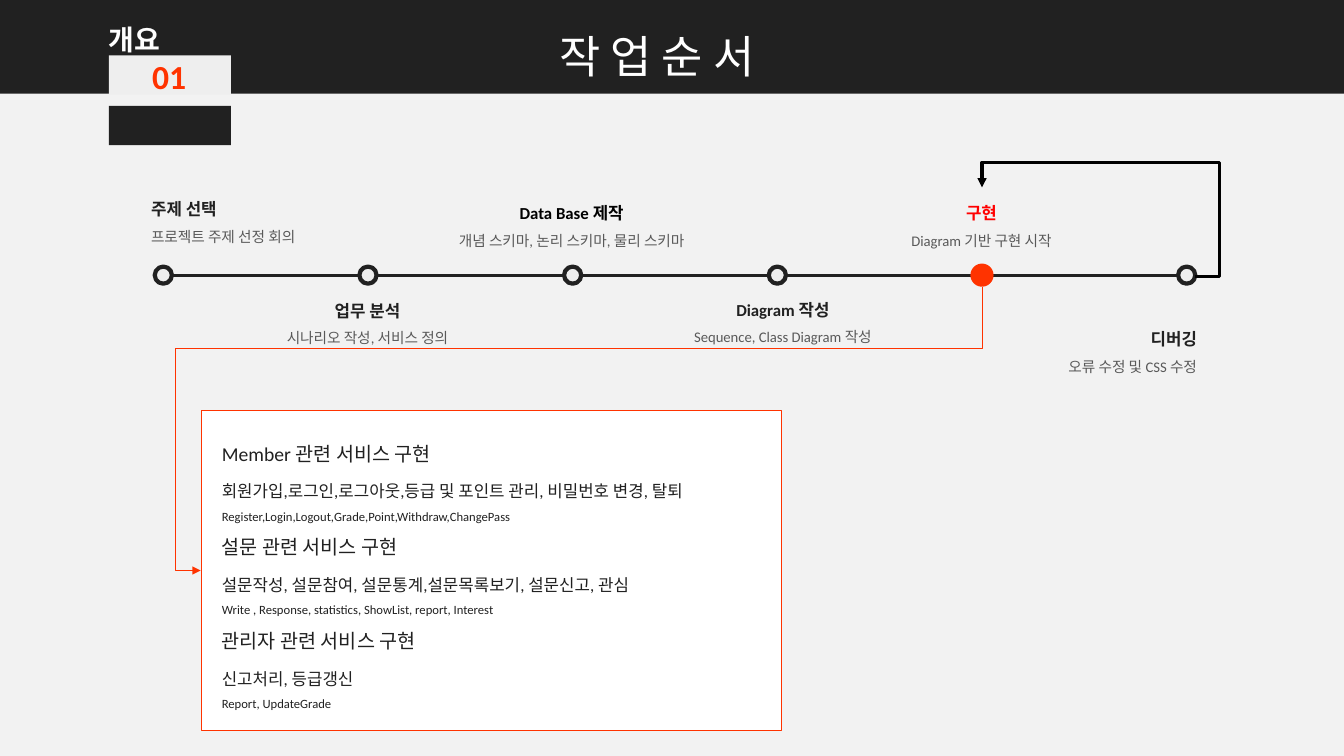
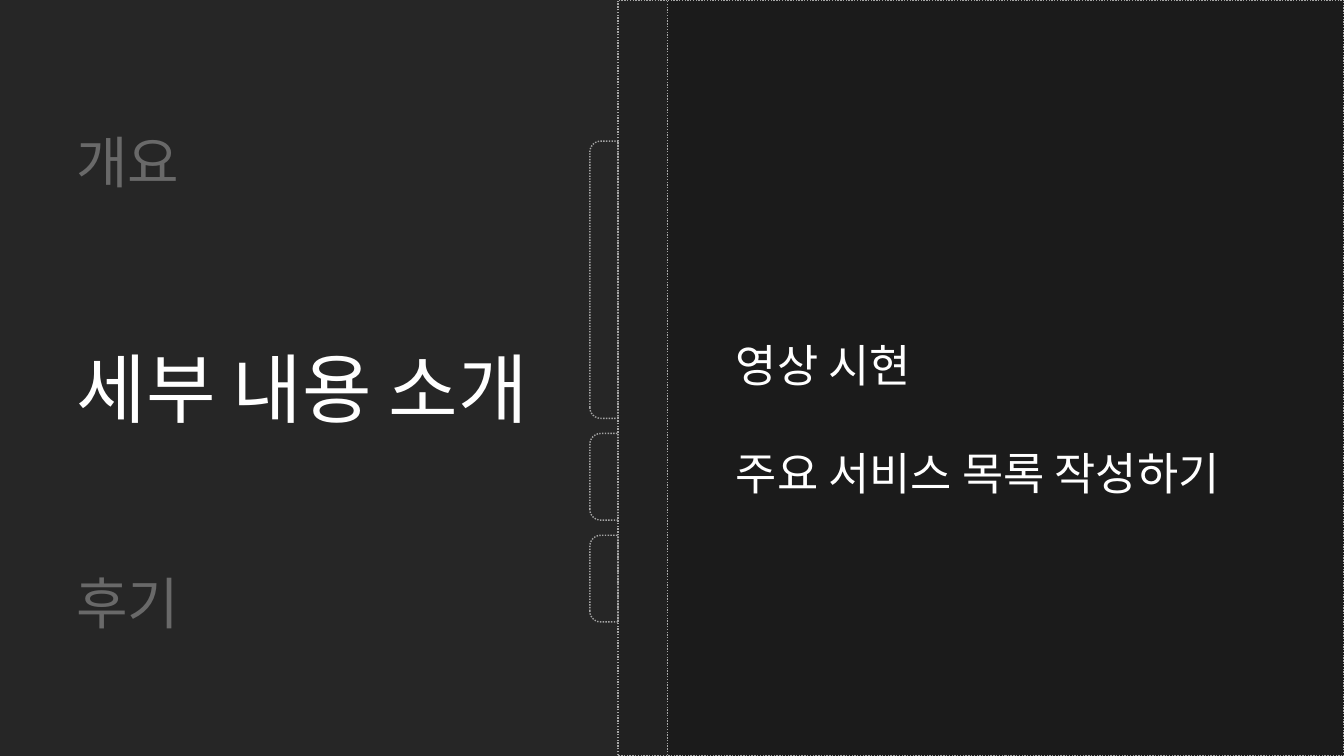
import pptx
import pptx.util
import pptx.dml.color
import pptx.enum.dml
import pptx.enum.shapes
import pptx.enum.text
import pptx.oxml
import pptx.oxml.ns
import lxml.etree

Inches = pptx.util.Inches
Pt = pptx.util.Pt
RGBColor = pptx.dml.color.RGBColor
Shape = pptx.enum.shapes.MSO_SHAPE
Connector = pptx.enum.shapes.MSO_CONNECTOR
Align = pptx.enum.text.PP_ALIGN
Anchor = pptx.enum.text.MSO_ANCHOR
qn = pptx.oxml.ns.qn

FONT = "Calibri"
INK = RGBColor(0x21, 0x21, 0x21)
CHARCOAL = RGBColor(0x26, 0x26, 0x26)
COAL = RGBColor(0x1B, 0x1B, 0x1B)
BLACK = RGBColor(0, 0, 0)
WHITE = RGBColor(0xFF, 0xFF, 0xFF)
PAPER = RGBColor(0xF2, 0xF2, 0xF2)
PALE = RGBColor(0xEE, 0xEE, 0xEE)
GREY = RGBColor(0x59, 0x59, 0x59)
DOTTED = RGBColor(0xA6, 0xA6, 0xA6)
ORANGE = RGBColor(0xFF, 0x33, 0x00)
RED = RGBColor(0xFF, 0, 0)

PAGE_WIDTH, PAGE_HEIGHT = 13.33, 7.5
AXIS_Y = 2.73
FIRST_STEP_X, STEP_GAP = 1.62, 2.03
STEP_COUNT, ACTIVE_STEP = 6, 4
RING_SIZE, DOT_SIZE = 0.17, 0.23

MILESTONES = [
    (1.4, 1.82, 2.15, Align.LEFT, "주제 선택", INK, "프로젝트 주제 선정 회의"),
    (2.57, 2.83, 2.15, Align.CENTER, "업무 분석", INK, "시나리오 작성, 서비스 정의"),
    (4.15, 1.86, 3.04, Align.CENTER, "Data Base 제작", BLACK,
     "개념 스키마, 논리 스키마, 물리 스키마"),
    (6.69, 2.82, 2.15, Align.CENTER, "Diagram 작성", INK, "Sequence, Class Diagram 작성"),
    (8.66, 1.86, 2.15, Align.CENTER, "구현", RED, "Diagram 기반 구현 시작"),
    (9.82, 3.11, 2.15, Align.RIGHT, "디버깅", INK, "오류 수정 및 CSS 수정"),
]
SERVICES = [
    ("Member 관련 서비스 구현",
     "회원가입,로그인,로그아웃,등급 및 포인트 관리, 비밀번호 변경, 탈퇴",
     "Register,Login,Logout,Grade,Point,Withdraw,ChangePass"),
    ("설문 관련 서비스 구현",
     "설문작성, 설문참여, 설문통계,설문목록보기, 설문신고, 관심",
     "Write , Response, statistics, ShowList, report, Interest"),
    ("관리자 관련 서비스 구현", "신고처리, 등급갱신", "Report, UpdateGrade"),
]


def add_page(deck, color):
    page = deck.slides.add_slide(deck.slide_layouts[6])
    page.background.fill.solid()
    page.background.fill.fore_color.rgb = color
    return page


def add_block(page, kind, left, top, width, height, fill=None, line=None, weight=1, dotted=False):
    block = page.shapes.add_shape(kind, Inches(left), Inches(top), Inches(width), Inches(height))
    block.shadow.inherit = False
    if fill is None:
        block.fill.background()
    else:
        block.fill.solid()
        block.fill.fore_color.rgb = fill
    if line is None:
        block.line.fill.background()
    else:
        block.line.color.rgb = line
        block.line.width = Pt(weight)
        if dotted:
            block.line.dash_style = pptx.enum.dml.MSO_LINE.ROUND_DOT
    return block


def write_lines(frame, lines, align=Align.LEFT, spacing=1.0):
    frame.word_wrap = True
    for index, (text, size, color, bold, before) in enumerate(lines):
        para = frame.paragraphs[0] if index == 0 else frame.add_paragraph()
        para.text = text
        para.alignment = align
        para.line_spacing = spacing
        para.space_before = Pt(before)
        para.font.name = FONT
        para.font.size = Pt(size)
        para.font.bold = bold
        para.font.color.rgb = color


def add_text(page, left, top, width, height, lines, align=Align.LEFT, spacing=1.0):
    box = page.shapes.add_textbox(Inches(left), Inches(top), Inches(width), Inches(height))
    write_lines(box.text_frame, lines, align, spacing)


def add_line(page, kind, begin, end, color, weight):
    line = page.shapes.add_connector(kind, *(Inches(value) for value in (*begin, *end)))
    line.line.color.rgb = color
    line.line.width = Pt(weight)
    lxml.etree.SubElement(line._element.spPr, qn("a:effectLst"))
    return line


def add_bent_arrow(page, begin, end, bends, color, weight, rotation=0):
    arrow = add_line(page, Connector.ELBOW, begin, end, color, weight)
    properties = arrow._element.spPr
    if rotation:
        properties.find(qn("a:xfrm")).set("rot", str(rotation * 60000))
    geometry = properties.find(qn("a:prstGeom"))
    geometry.set("prst", "bentConnector4")
    guides = geometry.get_or_add_avLst()
    for number, bend in enumerate(bends, 1):
        guide = lxml.etree.SubElement(guides, qn("a:gd"))
        guide.set("name", f"adj{number}")
        guide.set("fmla", f"val {round(bend * 100000)}")
    tip = lxml.etree.SubElement(arrow.line._get_or_add_ln(), qn("a:tailEnd"))
    tip.set("type", "triangle")


def add_header(page, section, number, title):
    add_block(page, Shape.RECTANGLE, 0, 0, PAGE_WIDTH, 0.93, INK)
    add_text(page, 0.98, 0.01, 1.2, 0.55, [(section, 20, WHITE, True, 0)], spacing=1.5)
    for top, fill in ((0.55, PALE), (1.05, INK)):
        add_block(page, Shape.RECTANGLE, 1.08, top, 1.21, 0.39, fill)
    add_text(page, 1.41, 0.51, 0.8, 0.5, [(number, 24, ORANGE, True, 0)])
    add_text(page, 5.45, 0.24, 2.5, 0.64, [(title, 32, WHITE, False, 0)])


def add_timeline(page):
    last_x = FIRST_STEP_X + (STEP_COUNT - 1) * STEP_GAP
    radius = RING_SIZE / 2
    add_line(page, Connector.STRAIGHT, (FIRST_STEP_X + radius, AXIS_Y),
             (last_x - radius, AXIS_Y), INK, 2.25)
    for step in range(STEP_COUNT):
        active = step == ACTIVE_STEP
        size = DOT_SIZE if active else RING_SIZE
        add_block(page, Shape.OVAL, FIRST_STEP_X + step * STEP_GAP - size / 2,
                  AXIS_Y - size / 2, size, size, ORANGE if active else PALE,
                  None if active else INK, 3)
    for left, top, width, align, name, color, detail in MILESTONES:
        add_text(page, left, top, width, 0.64,
                 [(name, 12, color, True, 0), (detail, 10.5, GREY, False, 0)], align, 1.5)


def add_service_panel(page):
    panel = add_block(page, Shape.RECTANGLE, 2, 4.07, 5.75, 3.18, WHITE, ORANGE)
    frame = panel.text_frame
    frame.margin_left = Inches(0.2)
    frame.vertical_anchor = Anchor.MIDDLE
    lines = []
    for heading, features, functions in SERVICES:
        lines += [(heading, 14, INK, False, 0), (features, 12, INK, False, 4),
                  (functions, 9, INK, False, 0)]
    write_lines(frame, lines, spacing=1.5)


def build_process_page(deck):
    page = add_page(deck, PAPER)
    add_header(page, "개요", "01", "작 업 순 서")
    add_timeline(page)
    add_service_panel(page)
    add_bent_arrow(page, (4.46, 0.38), (7.27, 8.13), (0.217, 1.032), ORANGE, 0.5, 90)
    add_bent_arrow(page, (11.85, 2.74), (9.74, 1.86), (-0.118, 1.283), BLACK, 2.25)


def add_side_tab(page, right, top, length, depth=0.28):
    center_x, center_y = right - depth / 2, top + length / 2
    tab = add_block(page, Shape.ROUND_2_SAME_RECTANGLE, center_x - length / 2,
                    center_y - depth / 2, length, depth, line=DOTTED, dotted=True)
    tab.rotation = 270
    tab.adjustments[0] = 0.385


def add_veil(page, left, top, width, height):
    veil = add_block(page, Shape.RECTANGLE, left, top, width, height, CHARCOAL)
    color = veil._element.spPr.find(qn("a:solidFill"))[0]
    lxml.etree.SubElement(color, qn("a:alpha")).set("val", "69000")


def build_contents_page(deck):
    page = add_page(deck, CHARCOAL)
    add_text(page, 0.66, 0.88, 5.38, 5.39,
             [("개요", 40, WHITE, False, 0), ("세부 내용 소개", 54, WHITE, False, 73),
              ("후기", 40, WHITE, False, 73)], spacing=1.5)
    panel_left = 6.13
    add_block(page, Shape.RECTANGLE, panel_left, 0, PAGE_WIDTH - panel_left, PAGE_HEIGHT,
              INK, DOTTED, dotted=True)
    top = 1.4
    for length in (2.75, 0.86, 0.86):
        add_side_tab(page, panel_left, top, length)
        top += length + 0.15
    add_block(page, Shape.RECTANGLE, 6.62, 0, PAGE_WIDTH - 6.62, PAGE_HEIGHT,
              COAL, DOTTED, dotted=True)
    add_veil(page, 0.53, 1, 4.42, 1.52)
    add_veil(page, 0.23, 4.31, 4.42, 2.93)
    add_text(page, 7.2, 3.3, 5.55, 1.72,
             [("영상 시현", 32, WHITE, False, 0), ("주요 서비스 목록 작성하기", 32, WHITE, False, 39)])


def main():
    deck = pptx.Presentation()
    deck.slide_width = Inches(PAGE_WIDTH)
    deck.slide_height = Inches(PAGE_HEIGHT)
    build_process_page(deck)
    build_contents_page(deck)
    deck.save("out.pptx")


if __name__ == "__main__":
    main()
